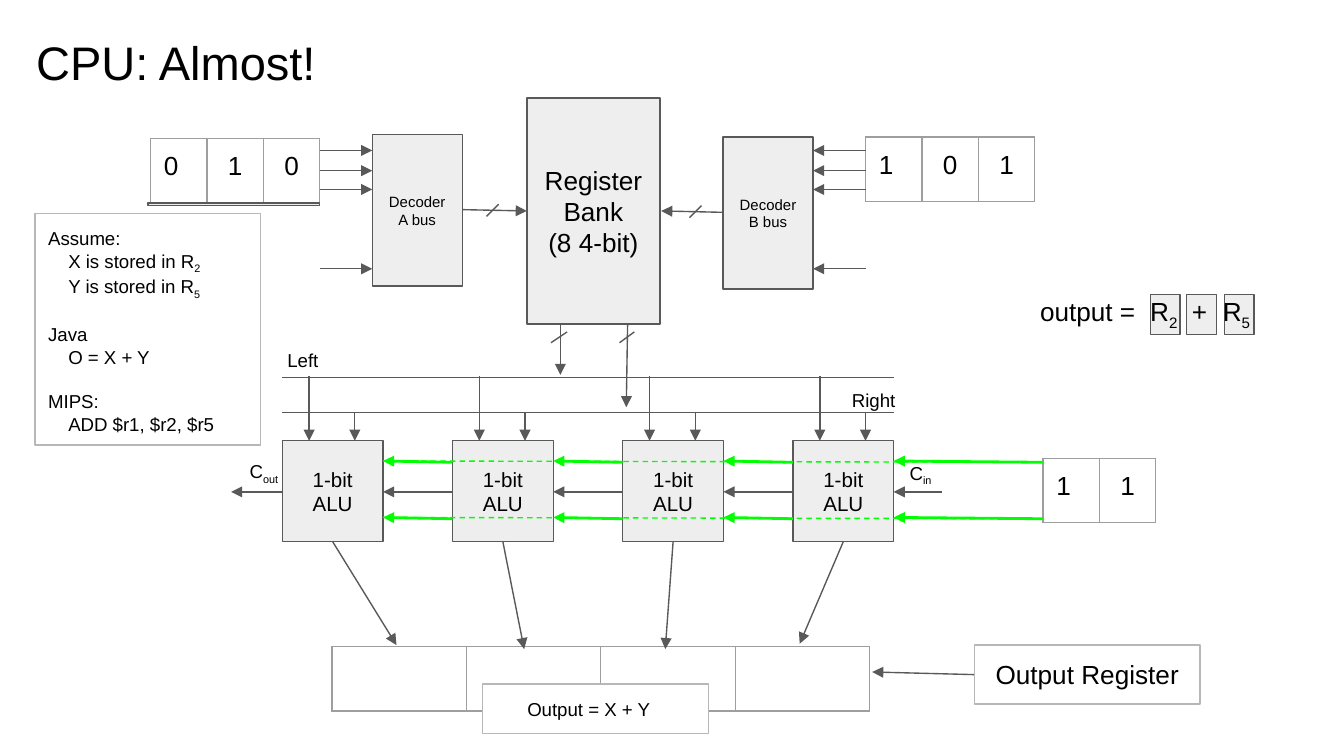
"""Build the slide showing a nearly complete CPU data path."""
import pptx
import pptx.dml.color
import pptx.enum.dml
import pptx.enum.shapes
import pptx.enum.text
import pptx.util
from lxml import etree

Inches = pptx.util.Inches
Pt = pptx.util.Pt
RGB = pptx.dml.color.RGBColor
ALIGN = pptx.enum.text.PP_ALIGN
ANCHOR = pptx.enum.text.MSO_ANCHOR
NS = "{http://schemas.openxmlformats.org/drawingml/2006/main}"

BLACK = RGB(0x00, 0x00, 0x00)
WHITE = RGB(0xFF, 0xFF, 0xFF)
PALE = RGB(0xEE, 0xEE, 0xEE)
DARK = RGB(0x59, 0x59, 0x59)
GRAY = RGB(0xB7, 0xB7, 0xB7)
GRID = RGB(0x9E, 0x9E, 0x9E)
GREEN = RGB(0x00, 0xFF, 0x00)

TITLE = (0.17, 0.15, 9.32, 0.63, "CPU: Almost!", 25.2)
OUTPUT = (7.64, 2.1, 1.9, 0.44, "output =\tR|2|\t+\tR|5", 14)
TABS = [0.82, 1.13, 1.36]
LABELS = [
    (2.04, 2.51, 0.47, 0.37, "Left", 10),
    (6.24, 2.81, 0.71, 0.37, "Right", 10),
    (6.67, 3.34, 0.47, 0.37, "C|in", 10),
    (1.76, 3.33, 0.47, 0.37, "C|out", 10),
]
BLOCKS = [
    (3.92, 0.73, 0.99, 1.68, "Register Bank\n(8 4-bit)", 14),
    (5.38, 1.02, 0.67, 1.13, "Decoder\nB bus", 8),
    (2.77, 1, 0.67, 1.13, "Decoder\nA bus", 8),
]
NOTES = [
    ("Assume:", ["X is stored in R|2", "Y is stored in R|5"]),
    ("Java", ["O = X + Y"]),
    ("MIPS:", ["ADD $r1, $r2, $r5"]),
]
TABLES = [
    (2.47, 4.81, 1, ["", "", "", ""]),
    (6.44, 1.02, 0.42, ["1", "0", "1"]),
    (1.12, 1.03, 0.42, ["0", "1", "0"]),
    (7.76, 3.41, 0.42, ["1", "1"]),
]
ARROWS = [
    (4.17, 2.41, 4.17, 2.79), (4.67, 2.41, 4.66, 3.03),
    (3.44, 1.56, 3.92, 1.57), (5.38, 1.58, 4.92, 1.57),
    (7.25, 5.02, 6.49, 5), (2.1, 3.66, 1.72, 3.66),
]
PLAIN = [
    (2.1, 3.07, 6.65, 3.07), (2.1, 2.81, 6.65, 2.81),
    (4.22, 2.47, 4.1, 2.55), (4.72, 2.47, 4.61, 2.55),
    (3.71, 1.52, 3.62, 1.61), (5.22, 1.53, 5.13, 1.62),
]
TARGETS = [(2.95, 4.8), (3.9, 4.83), (4.95, 4.83), (5.95, 4.79)]
ALUS = [2.1 + i * 3.8 / 3 for i in range(4)]
SIDE, TOP = 0.75, 3.28
CONTROL = [3.44, 3.86]
INPUTS = [1.12, 1.27, 1.41, 2]

deck = pptx.Presentation()
deck.slide_width = Inches(10)
deck.slide_height = deck.slide_width * 9 // 16
slide = deck.slides.add_slide(deck.slide_layouts[6])


def write(frame, text, size, align):
    frame.word_wrap = True
    frame.margin_left = frame.margin_right = Inches(0.1)
    frame.margin_top = frame.margin_bottom = Inches(0.1)
    frame.text = text
    for para in frame.paragraphs:
        parts = para.text.split("|")
        para.clear()
        para.alignment = align
        for i, part in enumerate(parts):
            run = para.add_run()
            run.text = part
            run.font.name, run.font.size = "Arial", Pt(size)
            run.font.color.rgb = BLACK
            if i % 2:
                run._r.get_or_add_rPr().set("baseline", "-25000")


def label(x, y, w, h, text, size):
    shape = slide.shapes.add_textbox(*map(Inches, (x, y, w, h)))
    write(shape.text_frame, text, size, ALIGN.LEFT)
    return shape


def box(x, y, w, h, text="", size=10, fill=PALE, edge=DARK,
        align=ALIGN.CENTER, anchor=ANCHOR.MIDDLE):
    kind = pptx.enum.shapes.MSO_SHAPE.RECTANGLE
    shape = slide.shapes.add_shape(kind, *map(Inches, (x, y, w, h)))
    shape.shadow.inherit = False
    shape.fill.solid()
    shape.fill.fore_color.rgb = fill
    shape.line.color.rgb, shape.line.width = edge, Pt(0.75)
    if text:
        write(shape.text_frame, text, size, align)
        shape.text_frame.vertical_anchor = anchor
    return shape


def wire(x1, y1, x2, y2, color=DARK, width=0.75, head=True, dash=False):
    kind = pptx.enum.shapes.MSO_CONNECTOR.STRAIGHT
    link = slide.shapes.add_connector(kind, *map(Inches, (x1, y1, x2, y2)))
    link.line.color.rgb, link.line.width = color, Pt(width)
    if dash:
        link.line.dash_style = pptx.enum.dml.MSO_LINE.DASH
    if head:
        etree.SubElement(link.line._get_or_add_ln(), NS + "tailEnd", type="triangle")
    etree.SubElement(link._element.spPr, NS + "effectLst")


def border(cell):
    props = cell._tc.get_or_add_tcPr()
    for i, tag in enumerate(("lnL", "lnR", "lnT", "lnB")):
        line = etree.Element(NS + tag, w=str(Pt(0.75)))
        fill = etree.SubElement(line, NS + "solidFill")
        etree.SubElement(fill, NS + "srgbClr", val=str(GRID))
        props.insert(i, line)


def table(x, y, step, items):
    size = (x, y, step * len(items), 0.48)
    grid = slide.shapes.add_table(1, len(items), *map(Inches, size)).table
    grid.first_row = grid.horz_banding = False
    for i, item in enumerate(items):
        grid.columns[i].width = Inches(step)
        cell = grid.cell(0, i)
        cell.fill.background()
        write_cell(cell, item, ALIGN.CENTER if i else ALIGN.LEFT)
        border(cell)


def write_cell(cell, text, align):
    cell.margin_left = cell.margin_right = Inches(0.1)
    cell.margin_top = cell.margin_bottom = Inches(0.1)
    cell.text = text
    para = cell.text_frame.paragraphs[0]
    para.alignment = align
    para.font.size = Pt(14)
    for run in para.runs:
        run.font.name, run.font.size = "Arial", Pt(14)
        run.font.color.rgb = BLACK


def notes():
    lines = [line for head, body in NOTES for line in [head, *body]]
    heads = [head for head, body in NOTES]
    shape = box(0.26, 1.59, 1.68, 1.72, "\n".join(lines), 10, WHITE, GRAY,
                ALIGN.LEFT, ANCHOR.TOP)
    for line, para in zip(lines, shape.text_frame.paragraphs):
        if line not in heads:
            para._p.get_or_add_pPr().set("marL", str(Inches(0.15)))
        elif line != heads[0]:
            para.space_before = Pt(12)


for x in (8.56, 9.11, 8.83):
    box(x, 2.19, 0.22, 0.3)
label(*TITLE)
for x in ALUS:
    box(x, TOP, SIDE, SIDE, "1-bit ALU", 11)
for block in BLOCKS:
    box(*block)
for row in TABLES:
    table(*row)
for x, end in zip(ALUS, TARGETS):
    wire(x + SIDE / 2, TOP + SIDE, *end)
    wire(x + 0.2, 2.8, x + 0.2, TOP)
    wire(x + 0.54, 3.07, x + 0.54, TOP)
for x, start in zip(ALUS, ALUS[1:] + [7.01]):
    wire(start, 3.66, x + SIDE, 3.66)
for line in ARROWS:
    wire(*line)
for line in PLAIN:
    wire(*line, head=False)
for y in INPUTS:
    wire(2.38, y, 2.77, y)
    wire(6.44, y, 6.05, y)
for y in CONTROL:
    wire(7.76, y, 2.85, y - 0.01, GREEN, head=False, dash=True)
    for x, start in zip(ALUS, ALUS[1:] + [7.76]):
        wire(start, y, x + SIDE, y - 0.01, GREEN, 1.5)
for item in LABELS:
    label(*item)
para = label(*OUTPUT).text_frame.paragraphs[0]
stops = etree.SubElement(para._p.get_or_add_pPr(), NS + "tabLst")
for stop in TABS:
    etree.SubElement(stops, NS + "tab", pos=str(Inches(stop)), algn="l")
box(1.1, 1.51, 1.28, 0.02)
box(7.25, 4.8, 1.68, 0.44, "Output Register", 14, WHITE, GRAY, anchor=ANCHOR.TOP)
total = box(3.59, 5.09, 1.68, 0.37, "Output = X + Y", 10, WHITE, GRAY, anchor=ANCHOR.TOP)
total.text_frame.margin_right = Inches(0.2)
notes()
deck.save("out.pptx")
